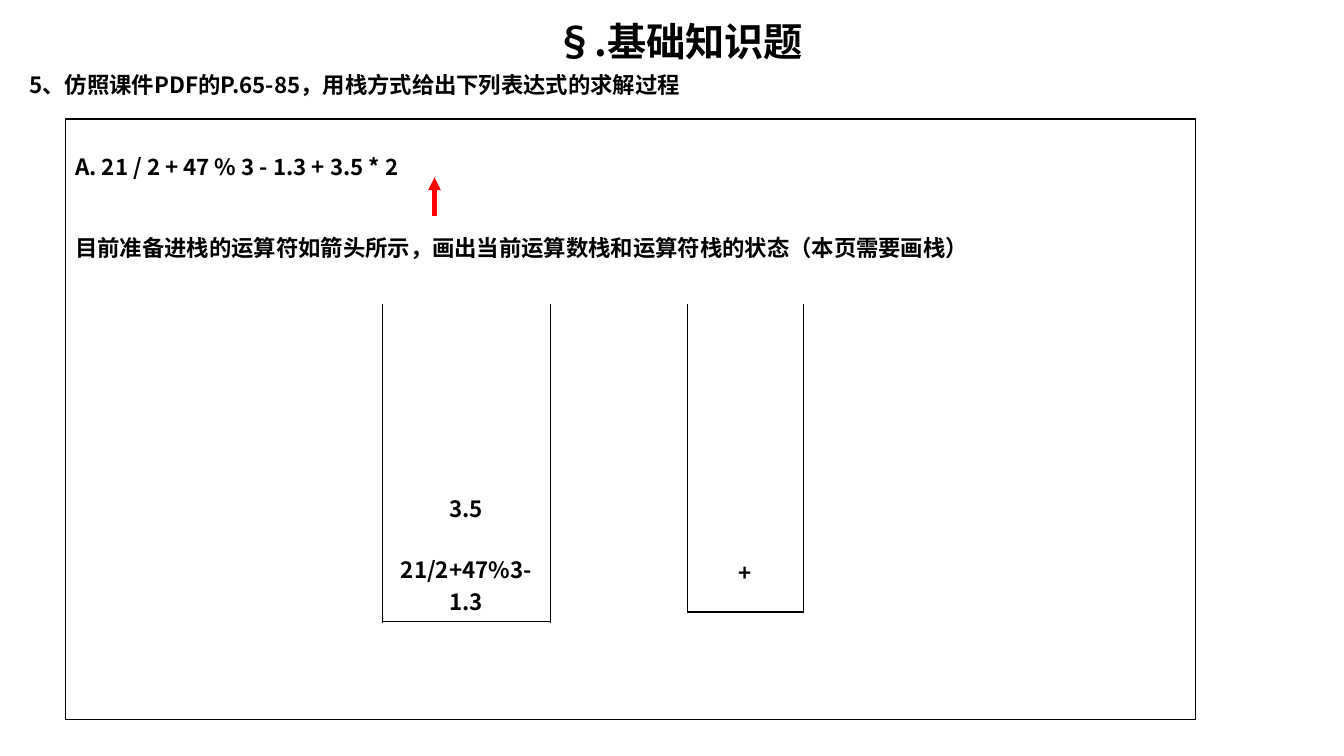
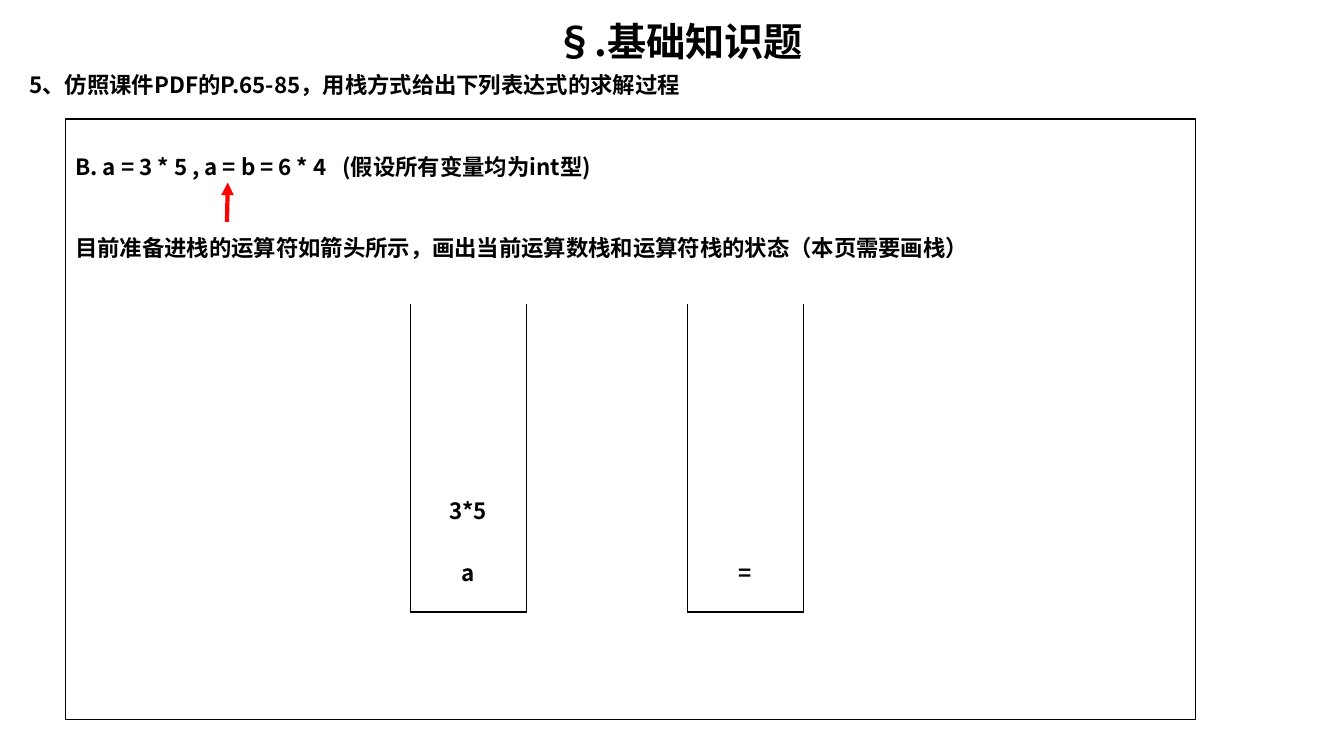
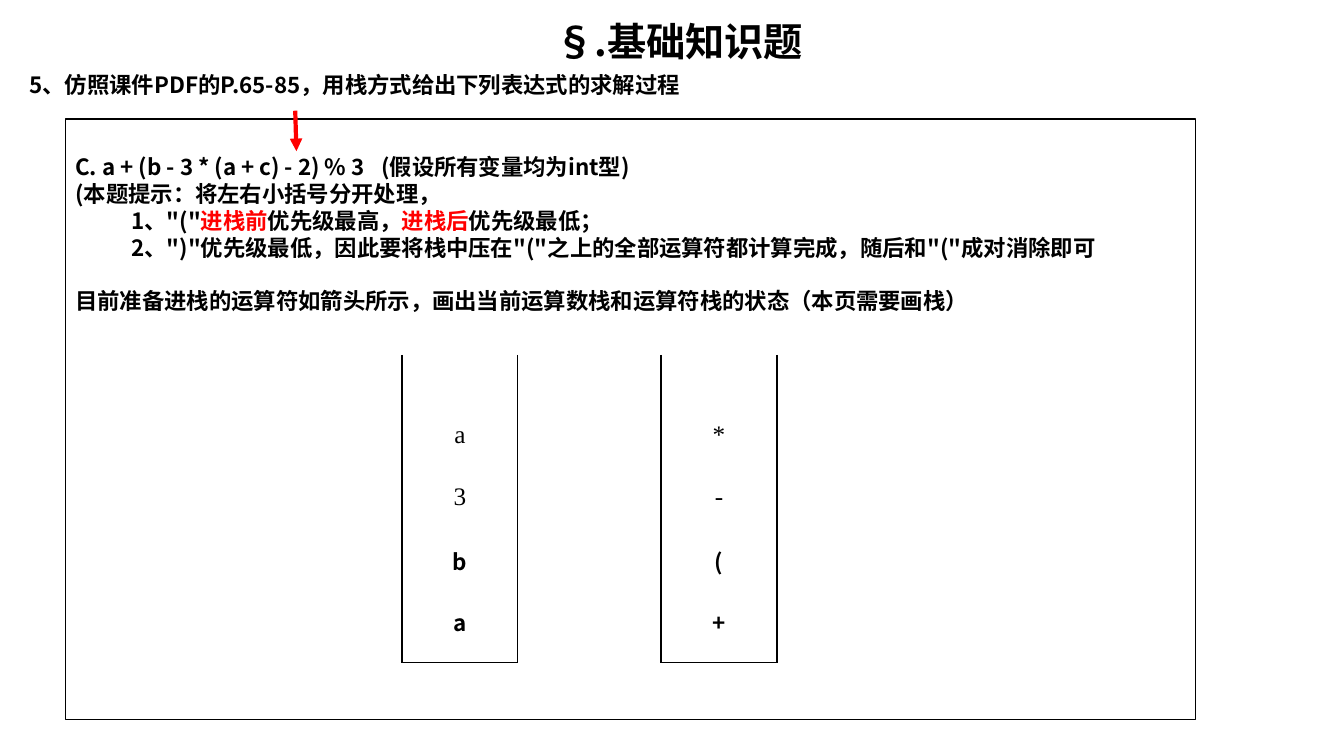
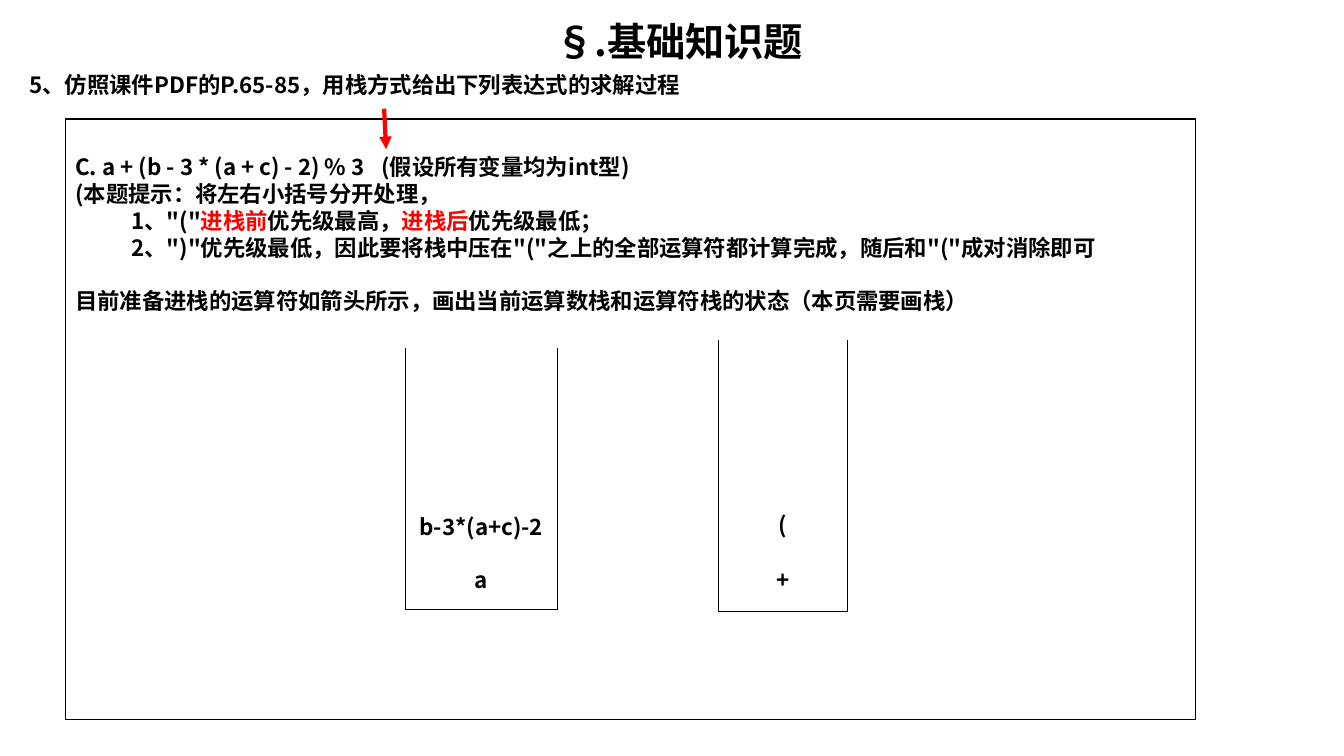
from pptx import Presentation
from pptx.dml.color import RGBColor
from pptx.enum.shapes import MSO_CONNECTOR, MSO_SHAPE
from pptx.enum.text import MSO_ANCHOR, MSO_AUTO_SIZE, PP_ALIGN
from pptx.oxml.ns import qn
from pptx.util import Cm, Pt
from lxml.etree import SubElement

SANS, SERIF = "Noto Sans CJK SC", "Times New Roman"
BLACK, RED = "000000", "FF0000"
LINE_PITCH = 19.2
ROWS = 5

TITLE_BOX = (0.62, 0.44, 33, 1.5)
QUESTION_BOX = (0.74, 1.78, 32, 0.9)
PANEL = (1.65, 3, 28.47, 15.14)

ASK = "目前准备进栈的运算符如箭头所示，画出当前运算数栈和运算符栈的状态（本页需要画栈）"
# Text between bars is red.
HINTS = [
    ("(本题提示：将左右小括号分开处理，", {}),
    ('1、"("|进栈前|优先级最高，|进栈后|优先级最低；', {"indent": 1.41}),
    ('2、")"优先级最低，因此要将栈中压在"("之上的全部运算符都计算完成，随后和"("成对消除即可',
     {"indent": 1.41}),
]
LINES_A = [("A. 21 / 2 + 47 % 3 - 1.3 + 3.5 * 2", {}), (ASK, {"blank": 2})]
LINES_B = [("B. a = 3 * 5 , a = b = 6 * 4\t(假设所有变量均为int型)", {"tab": 6.73}),
           (ASK, {"blank": 2})]
LINES_C = [("C. a + (b - 3 * (a + c) - 2) % 3\t(假设所有变量均为int型)", {"tab": 7.71}),
           *HINTS, (ASK, {"blank": 1})]

# Arrow ends and stack corners are measured in cm from the panel's corner.
SLIDES = [
    {"lines": LINES_A, "arrow": (9.3, 2.44, 9.3, 1.47), "stacks": [
        {"at": (7.98, 4.67), "width": 4.24, "row": 1.53, "items": ["3.5", "21/2+47%3-1.3"]},
        {"at": (15.67, 4.67), "width": 2.92, "row": 1.55, "items": ["+"]}]},
    {"lines": LINES_B, "arrow": (4.07, 2.59, 4.09, 1.6), "stacks": [
        {"at": (8.69, 4.67), "width": 2.92, "row": 1.55, "items": ["3*5", "a"]},
        {"at": (15.67, 4.67), "width": 2.92, "row": 1.55, "items": ["="]}]},
    {"lines": LINES_C, "arrow": (5.79, -0.21, 5.82, 0.81), "stacks": [
        {"at": (8.48, 5.94), "width": 2.92, "row": 1.55,
         "items": ["a", "3", "b", "a"], "serif": 2},
        {"at": (15.01, 5.94), "width": 2.92, "row": 1.55,
         "items": ["*", "-", "(", "+"], "serif": 2}]},
    {"lines": LINES_C, "arrow": (8.03, -0.26, 8.08, 0.76), "stacks": [
        {"at": (8.56, 5.76), "width": 3.84, "row": 1.32, "items": ["b-3*(a+c)-2", "a"]},
        {"at": (16.46, 5.56), "width": 3.25, "row": 1.37, "items": ["(", "+"]}]},
]


def rgb(value):
    return RGBColor.from_string(value)


def add_run(p, text, size=16, font=SANS, bold=True, color=BLACK):
    r = p.add_run()
    r.text = text
    for name, value in {"size": Pt(size), "name": font, "bold": bold}.items():
        setattr(r.font, name, value)
    r.font.color.rgb = rgb(color)
    SubElement(r.font._element, qn("a:ea"), typeface=font)


def set_frame(tf, **extra):
    values = {"word_wrap": True, "auto_size": MSO_AUTO_SIZE.NONE,
              "vertical_anchor": MSO_ANCHOR.TOP, "margin_left": 0,
              "margin_right": 0, "margin_top": 0, "margin_bottom": 0}
    for name, value in {**values, **extra}.items():
        setattr(tf, name, value)


def fill_placeholder(sp, box, text, size, align):
    for name, value in zip(("left", "top", "width", "height"), box):
        setattr(sp, name, Cm(value))
    set_frame(sp.text_frame)
    p = sp.text_frame.paragraphs[0]
    pPr = p._p.get_or_add_pPr()
    pPr.set("marL", "0")
    pPr.set("indent", "0")
    SubElement(pPr, qn("a:buNone"))
    p.alignment, p.space_before = align, Pt(0)
    add_run(p, text, size)


def add_heading(s):
    fill_placeholder(s.shapes.title, TITLE_BOX, "§.基础知识题", 28, PP_ALIGN.CENTER)
    fill_placeholder(s.placeholders[1], QUESTION_BOX,
                     "5、仿照课件PDF的P.65-85，用栈方式给出下列表达式的求解过程",
                     16, PP_ALIGN.LEFT)


def add_panel(s, box, lines):
    sp = s.shapes.add_shape(MSO_SHAPE.RECTANGLE, *map(Cm, box))
    sp.shadow.inherit = False
    sp.fill.background()
    sp.line.color.rgb, sp.line.width = rgb(BLACK), Pt(0.75)
    tf = sp.text_frame
    set_frame(tf, margin_left=Cm(0.25), margin_right=Cm(0.25), margin_top=Cm(0.86))
    for i, (text, layout) in enumerate(lines):
        p = tf.add_paragraph() if i else tf.paragraphs[0]
        pPr = p._p.get_or_add_pPr()
        if "tab" in layout:
            tabs = SubElement(pPr, qn("a:tabLst"))
            SubElement(tabs, qn("a:tab"), pos=str(Cm(layout["tab"])), algn="l")
        pPr.set("marL", str(Cm(layout.get("indent", 0))))
        p.alignment, p.line_spacing = PP_ALIGN.LEFT, Pt(LINE_PITCH)
        p.space_before = Pt(LINE_PITCH * layout.get("blank", 0))
        for j, part in enumerate(text.split("|")):
            add_run(p, part, color=RED if j % 2 else BLACK)


def add_arrow(s, box, ends):
    x, y = box[:2]
    x1, y1, x2, y2 = ends
    line = s.shapes.add_connector(MSO_CONNECTOR.STRAIGHT, Cm(x + x1), Cm(y + y1),
                                  Cm(x + x2), Cm(y + y2))
    line.line.color.rgb, line.line.width = rgb(RED), Pt(3)
    SubElement(line.line._get_or_add_ln(), qn("a:tailEnd"), type="triangle")
    SubElement(line._element.spPr, qn("a:effectLst"))


def set_borders(cell, sides):
    tcPr = cell._tc.get_or_add_tcPr()
    for side in "LRTB":
        ln = SubElement(tcPr, qn(f"a:ln{side}"), w=str(Pt(1)))
        if side in sides:
            fill = SubElement(ln, qn("a:solidFill"))
            SubElement(fill, qn("a:srgbClr"), val=BLACK)
        else:
            SubElement(ln, qn("a:noFill"))


def add_stack(s, box, at, width, row, items, serif=0):
    """Draw an open-topped stack; the first `serif` items are in the serif face."""
    frame = s.shapes.add_table(ROWS, 1, Cm(box[0] + at[0]), Cm(box[1] + at[1]),
                               Cm(width), Cm(row * ROWS))
    table = frame.table
    table.first_row = table.horz_banding = False
    first = ROWS - len(items)
    for i in range(ROWS):
        table.rows[i].height = Cm(row)
        cell = table.cell(i, 0)
        set_borders(cell, "LRB" if i == ROWS - 1 else "LR")
        cell.fill.background()
        if i >= first:
            p = cell.text_frame.paragraphs[0]
            p.alignment = PP_ALIGN.CENTER
            style = {"size": 18, "font": SERIF, "bold": False} if i - first < serif else {}
            add_run(p, items[i - first], **style)


def add_stack_slide(prs, lines, arrow, stacks):
    s = prs.slides.add_slide(prs.slide_layouts[1])
    add_heading(s)
    add_panel(s, PANEL, lines)
    add_arrow(s, PANEL, arrow)
    for stack in stacks:
        add_stack(s, PANEL, **stack)


def main():
    prs = Presentation()
    prs.slide_width, prs.slide_height = Cm(33.87), Cm(19.05)
    for content in SLIDES:
        add_stack_slide(prs, **content)
    prs.save("out.pptx")


if __name__ == "__main__":
    main()
